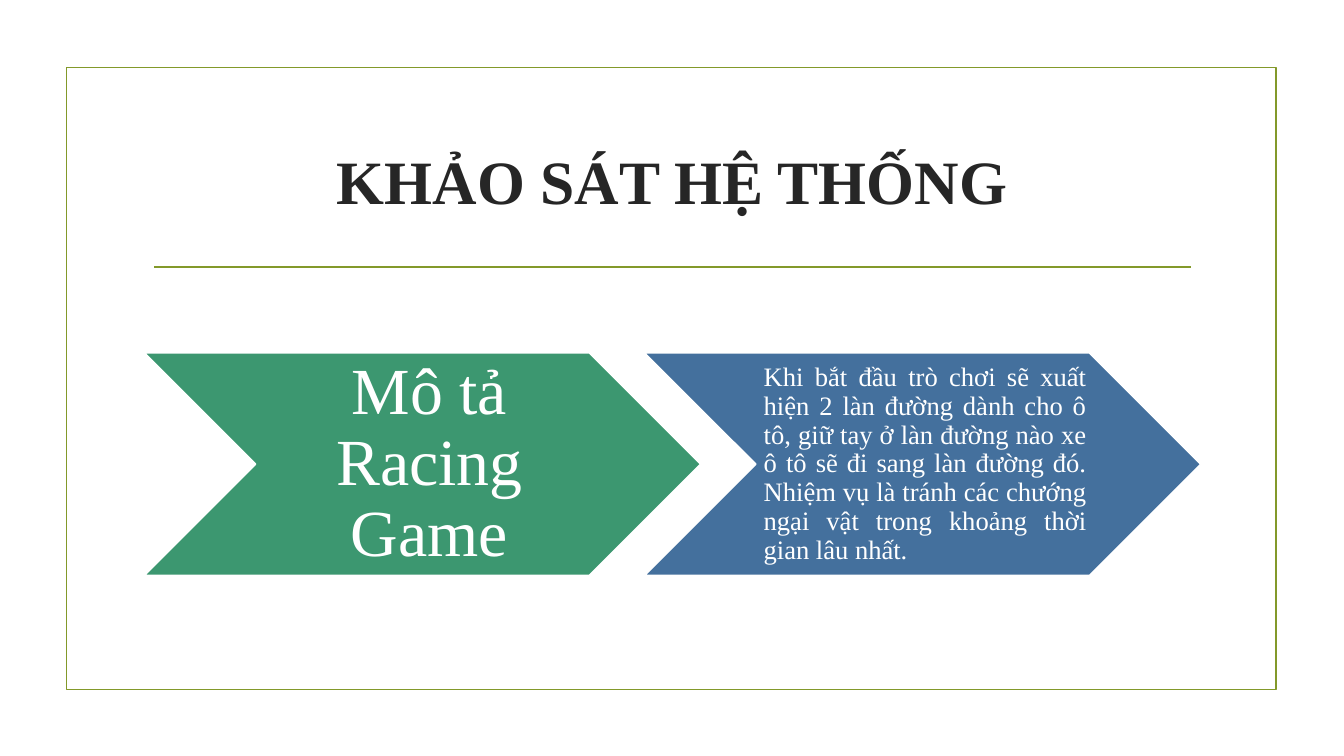
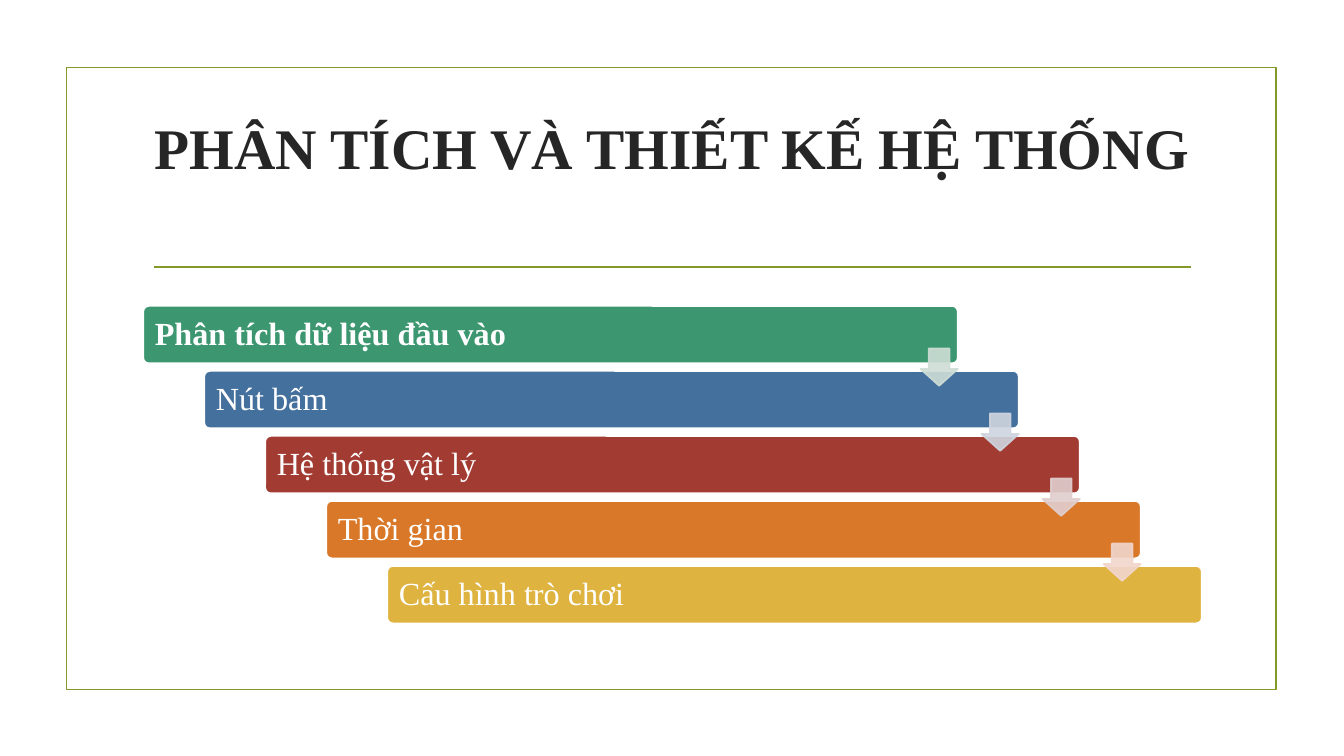
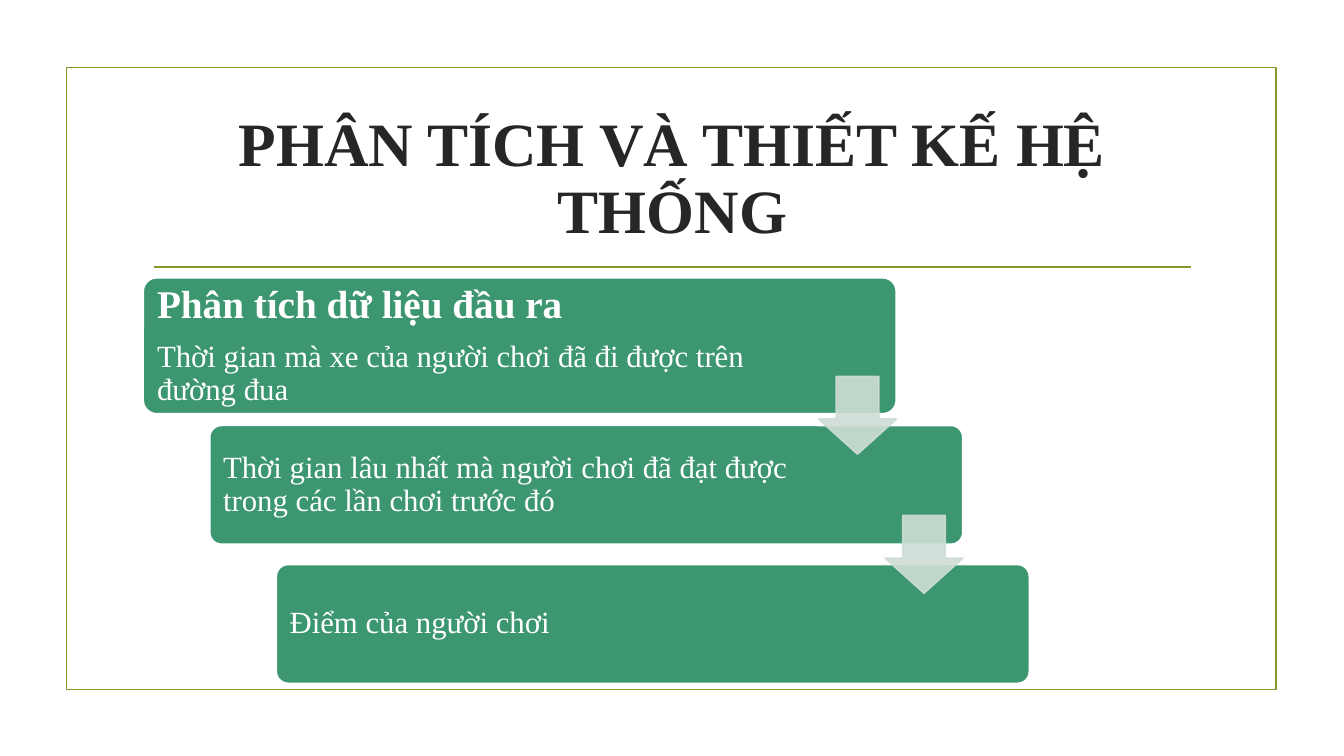
import lxml.etree
import pptx
import pptx.dml.color
import pptx.enum.shapes
import pptx.enum.text
import pptx.oxml.ns
import pptx.util

Inches = pptx.util.Inches
Pt = pptx.util.Pt
Shapes = pptx.enum.shapes.MSO_SHAPE
Align = pptx.enum.text.PP_ALIGN
Anchor = pptx.enum.text.MSO_ANCHOR

FONT = "Times New Roman"
COLORS = {
    "frame": "83992A",
    "title": "262626",
    "white": "FFFFFF",
    "green": "3C9770",
    "blue": "44709D",
    "red": "A23C33",
    "orange": "D97828",
    "yellow": "DEB340",
    "pale green": "CEDDD5",
    "pale blue": "CFD5DF",
    "pale red": "E0CECE",
    "pale orange": "F1D6CD",
}
SLIDE_WIDTH, SLIDE_HEIGHT = 13.33, 7.5
CONTENT_LEFT, CONTENT_WIDTH = 1.42, 10.5
LINE_WIDTH = 1.25
ARROW_OPACITY = 90


def rgb(name):
    return pptx.dml.color.RGBColor.from_string(COLORS[name])


def box(left, top, width, height):
    return [Inches(length) for length in (left, top, width, height)]


def add_shape(slide, preset, place, fill, line):
    shape = slide.shapes.add_shape(preset, *box(*place))
    shape.shadow.inherit = False
    if fill:
        shape.fill.solid()
        shape.fill.fore_color.rgb = rgb(fill)
    else:
        shape.fill.background()
    shape.line.color.rgb = rgb(line)
    shape.line.width = Pt(LINE_WIDTH)
    return shape


def set_opacity(shape, percent):
    """Apply the same opacity to fill and line."""
    for color in shape.element.spPr.iter(pptx.oxml.ns.qn("a:srgbClr")):
        alpha = lxml.etree.SubElement(color, pptx.oxml.ns.qn("a:alpha"))
        alpha.set("val", str(percent * 1000))


def style_paragraph(paragraph, size, color, bold=False, align=Align.LEFT, spacing=0.9):
    paragraph.alignment = align
    paragraph.line_spacing = spacing
    font = paragraph.font
    font.name, font.size, font.bold = FONT, Pt(size), bold
    font.color.rgb = rgb(color)


def write(shape, lines, margins, align=Align.LEFT):
    """Fill a shape with (text, size, bold) lines, centred vertically."""
    frame = shape.text_frame
    frame.word_wrap = True
    frame.vertical_anchor = Anchor.MIDDLE
    frame.margin_left, frame.margin_top, frame.margin_right, frame.margin_bottom = box(*margins)
    for index, (text, size, bold) in enumerate(lines):
        paragraph = frame.add_paragraph() if index else frame.paragraphs[0]
        paragraph.text = text
        style_paragraph(paragraph, size, "white", bold, align)
        if index < len(lines) - 1:
            paragraph.space_after = Pt(0.35 * size)


def prepare_layout(presentation):
    """Give the title-only layout its frame, rule and title position."""
    layout = presentation.slide_layouts.get_by_name("Title Only")
    title = layout.placeholders[0]
    title.left, title.top, title.width, title.height = box(CONTENT_LEFT, 1.07, CONTENT_WIDTH, 1.43)
    title.text_frame.vertical_anchor = Anchor.MIDDLE
    title.text_frame.auto_size = pptx.enum.text.MSO_AUTO_SIZE.NONE
    return layout


def draw_frame(slide, layout):
    """Draw the frame and rule, then hand them to the layout."""
    frame = add_shape(slide, Shapes.RECTANGLE, (0.66, 0.67, 12, 6.17), None, "frame")
    rule = slide.shapes.add_connector(
        pptx.enum.shapes.MSO_CONNECTOR.STRAIGHT,
        Inches(1.53), Inches(2.65), Inches(11.81), Inches(2.65))
    rule.line.color.rgb = rgb("frame")
    rule.line.width = Pt(LINE_WIDTH)
    lxml.etree.SubElement(rule.element.spPr, pptx.oxml.ns.qn("a:effectLst"))
    for shape in (frame, rule):
        layout.shapes.element.append(shape.element)


def add_slide(presentation, layout, title, size=44, spacing=0.9):
    slide = presentation.slides.add_slide(layout)
    slide.shapes.title.text_frame.text = title
    style_paragraph(slide.shapes.title.text_frame.paragraphs[0], size, "title", True,
                    Align.CENTER, spacing)
    return slide


def add_chevrons(slide, chevrons):
    width, height = 5.52, 2.21
    pitch = CONTENT_WIDTH - 0.02 - width
    for index, (color, text, size, align, margins) in enumerate(chevrons):
        place = (CONTENT_LEFT + 0.01 + index * pitch, 3.5, width, height)
        chevron = add_shape(slide, Shapes.CHEVRON, place, color, "white")
        write(chevron, [(text, size, False)], margins, align)


def add_staircase(slide, steps, first_center, pitch, shift, width, arrow_size, margins):
    """Draw (fill, height, lines, arrow colour) steps, then arrows midway between them."""
    for index, (color, height, lines, _) in enumerate(steps):
        top = first_center + index * pitch - height / 2
        step = add_shape(slide, Shapes.ROUNDED_RECTANGLE,
                         (CONTENT_LEFT + index * shift, top, width, height), color, "white")
        step.adjustments[0] = 0.1
        write(step, lines, margins)
    for index, (_, _, _, color) in enumerate(steps[:-1]):
        left = CONTENT_LEFT + index * shift + width - arrow_size
        top = first_center + (index + 0.5) * pitch - arrow_size / 2
        arrow = add_shape(slide, Shapes.DOWN_ARROW, (left, top, arrow_size, arrow_size), color, color)
        arrow.adjustments[0], arrow.adjustments[1] = 0.55, 0.45
        set_opacity(arrow, ARROW_OPACITY)


def build_survey(presentation, layout):
    slide = add_slide(presentation, layout, "KHẢO SÁT HỆ THỐNG", spacing=1.0)
    draw_frame(slide, layout)
    description = (
        "Khi bắt đầu trò chơi sẽ xuất hiện 2 làn đường dành cho ô tô, giữ tay ở làn đường nào "
        "xe ô tô sẽ đi sang làn đường đó. Nhiệm vụ là tránh các chướng ngại vật trong khoảng "
        "thời gian lâu nhất.")
    add_chevrons(slide, [
        ("green", "Mô tả Racing Game", 47, Align.CENTER, (0.21, 0.07, 0.07, 0.07)),
        ("blue", description, 19, Align.JUSTIFY, (0.08, 0.03, 0.03, 0.03)),
    ])


def build_inputs(presentation, layout):
    slide = add_slide(presentation, layout, "PHÂN TÍCH VÀ THIẾT KẾ HỆ THỐNG", size=41)
    title_frame = slide.shapes.title.text_frame
    title_frame.vertical_anchor = Anchor.TOP
    title_frame.margin_top = Inches(0.12)
    inputs = [
        ("green", "Phân tích dữ liệu đầu vào", "pale green"),
        ("blue", "Nút bấm", "pale blue"),
        ("red", "Hệ thống vật lý", "pale red"),
        ("orange", "Thời gian", "pale orange"),
        ("yellow", "Cấu hình trò chơi", None),
    ]
    steps = [(color, 0.57, [(text, 23, index == 0)], arrow_color)
             for index, (color, text, arrow_color) in enumerate(inputs)]
    width = 8.08
    add_staircase(slide, steps, first_center=3.32, pitch=0.645,
                  shift=(CONTENT_WIDTH - width) / (len(steps) - 1), width=width,
                  arrow_size=0.37, margins=(0.1, 0, 0.7, 0))


def build_outputs(presentation, layout):
    slide = add_slide(presentation, layout, "PHÂN TÍCH VÀ THIẾT KẾ HỆ THỐNG")
    outputs = [
        (1.35, [("Phân tích dữ liệu đầu ra", 28, True),
                ("Thời gian mà xe của người chơi đã đi được trên đường đua", 22, False)]),
        (1.18, [("Thời gian lâu nhất mà người chơi đã đạt được trong các lần chơi trước đó",
                 22, False)]),
        (1.18, [("Điểm của người chơi", 22, False)]),
    ]
    steps = [("green", height, lines, "pale green") for height, lines in outputs]
    add_staircase(slide, steps, first_center=3.43, pitch=1.38, shift=0.66, width=7.47,
                  arrow_size=0.77, margins=(0.1, 0, 1.4, 0))


def main():
    presentation = pptx.Presentation()
    presentation.slide_width = Inches(SLIDE_WIDTH)
    presentation.slide_height = Inches(SLIDE_HEIGHT)
    layout = prepare_layout(presentation)
    for build in (build_survey, build_inputs, build_outputs):
        build(presentation, layout)
    presentation.save("out.pptx")


if __name__ == "__main__":
    main()
